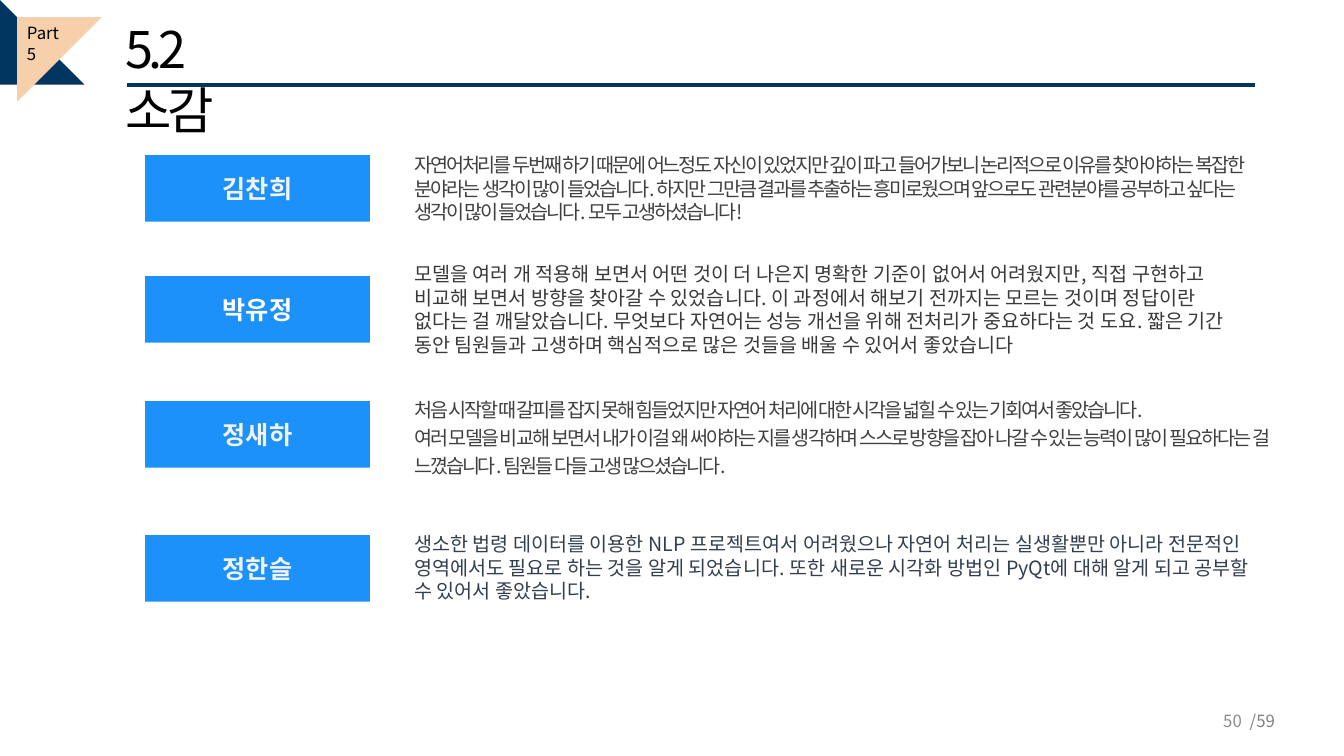
"""Build the closing slide with four team members' impressions."""
from lxml.etree import SubElement
from pptx import Presentation
from pptx.dml.color import RGBColor
from pptx.enum.shapes import MSO_CONNECTOR, MSO_SHAPE
from pptx.enum.text import MSO_ANCHOR, MSO_AUTO_SIZE, PP_ALIGN
from pptx.oxml.ns import qn
from pptx.util import Pt

FONT = "Noto Sans CJK KR"
NAVY = RGBColor(0x00, 0x35, 0x60)
PEACH = RGBColor(0xF6, 0xD0, 0xAB)
BLUE = RGBColor(0x1C, 0x91, 0xF9)
BLACK = RGBColor(0x00, 0x00, 0x00)
WHITE = RGBColor(0xFF, 0xFF, 0xFF)
OFF_WHITE = RGBColor(0xF2, 0xF2, 0xF2)
CHARCOAL = RGBColor(0x40, 0x40, 0x40)
BROWN_GRAY = RGBColor(0x3B, 0x38, 0x38)
SLATE = RGBColor(0x33, 0x3F, 0x50)
GRAY = RGBColor(0x80, 0x80, 0x80)
PALE_GRAY = RGBColor(0x8C, 0x8C, 0x8C)

IMPRESSIONS = [
    ("김찬희", OFF_WHITE, 110.9, 105.8, 624.2, CHARCOAL, -150, 1.0, PP_ALIGN.LEFT, [
        "자연어처리를 두번째 하기 때문에 어느정도 자신이 있었지만 깊이 파고 들어가보니 논리적으로 이유를 "
        "찾아야하는 복잡한 분야라는  생각이 많이 들었습니다. 하지만 그만큼 결과를 추출하는 흥미로웠으며 "
        "앞으로도 관련분야를 공부하고 싶다는 생각이 많이 들었습니다. 모두 고생하셨습니다!"]),
    ("박유정", WHITE, 197.3, 183.6, 608.4, BROWN_GRAY, 0, 1.0, PP_ALIGN.LEFT, [
        "모델을 여러 개 적용해 보면서 어떤 것이 더 나은지 명확한 기준이 없어서 어려웠지만, 직접 구현하고 "
        "비교해 보면서 방향을 찾아갈 수 있었습니다. 이 과정에서 해보기 전까지는 모르는 것이며 정답이란 "
        "없다는 걸 깨달았습니다. 무엇보다 자연어는 성능 개선을 위해 전처리가 중요하다는 것 도요. 짧은 "
        "기간 동안 팀원들과 고생하며 핵심적으로 많은 것들을 배울 수 있어서 좋았습니다"]),
    ("정새하", OFF_WHITE, 286.6, 277.2, 624.2, CHARCOAL, -150, 1.2, PP_ALIGN.JUSTIFY, [
        "처음 시작할 때 갈피를 잡지 못해 힘들었지만 자연어 처리에 대한 시각을 넓힐 수 있는 기회여서 좋았습니다.",
        "여러 모델을 비교해 보면서 내가 이걸 왜 써야하는 지를 생각하며 스스로 방향을 잡아 나갈 수 있는 "
        "능력이 많이 필요하다는 걸 느꼈습니다. 팀원들 다들 고생 많으셨습니다."]),
    ("정한슬", OFF_WHITE, 382.3, 376.6, 624.2, SLATE, 0, 1.0, PP_ALIGN.LEFT, [
        "생소한 법령 데이터를 이용한 NLP 프로젝트여서 어려웠으나 자연어 처리는 실생활뿐만 아니라 전문적인 "
        "영역에서도 필요로 하는 것을 알게 되었습니다. 또한 새로운 시각화 방법인 PyQt에 대해 알게 되고 "
        "공부할 수 있어서 좋았습니다."]),
]


def write(shape, lines, size, color, align=PP_ALIGN.LEFT, anchor=MSO_ANCHOR.TOP,
          bold=False, tracking=0, spacing=1.0):
    frame = shape.text_frame
    frame.text = "\n".join(lines)
    frame.word_wrap = True
    frame.auto_size = MSO_AUTO_SIZE.NONE
    frame.vertical_anchor = anchor
    for paragraph in frame.paragraphs:
        paragraph.alignment = align
        paragraph.line_spacing = spacing
        paragraph.font.size = Pt(size)
        paragraph.font.bold = bold
        paragraph.font.color.rgb = color
        paragraph.font.name = FONT
        defaults = paragraph._p.get_or_add_pPr().find(qn("a:defRPr"))
        defaults.set("spc", str(tracking))
        SubElement(defaults, qn("a:ea"), typeface=FONT)


def add_block(kind, left, top, width, height, color):
    block = slide.shapes.add_shape(kind, Pt(left), Pt(top), Pt(width), Pt(height))
    block.fill.solid()
    block.fill.fore_color.rgb = color
    block.line.fill.background()
    block.shadow.inherit = False
    return block


deck = Presentation()
deck.slide_width, deck.slide_height = Pt(960), Pt(540)
slide = deck.slides.add_slide(deck.slide_layouts[5])

title = slide.shapes.title
title.left, title.top, title.width, title.height = Pt(82.1), Pt(9.4), Pt(108), Pt(51.1)
write(title, ["5.2 소감"], 36, BLACK, tracking=-300)

add_block(MSO_SHAPE.RIGHT_TRIANGLE, 0, 0, 60.5, 60.5, NAVY)
ribbon = add_block(MSO_SHAPE.RIGHT_TRIANGLE, 12.2, 12.2, 60.5, 60.5, PEACH)
ribbon.rotation = 90
part_label = slide.shapes.add_textbox(Pt(12.2), Pt(13), Pt(43.9), Pt(21.6))
write(part_label, ["Part 5"], 12, BLACK)

for (name, name_color, name_top, text_top, text_width, text_color,
     tracking, spacing, align, lines) in IMPRESSIONS:
    name_box = add_block(MSO_SHAPE.RECTANGLE, 103.7, name_top, 160.6, 47.5, BLUE)
    write(name_box, [name], 18, name_color, PP_ALIGN.CENTER, MSO_ANCHOR.MIDDLE, bold=True)
    impression = slide.shapes.add_textbox(Pt(288.7), Pt(text_top), Pt(text_width), Pt(60))
    write(impression, lines, 14, text_color, align, tracking=tracking, spacing=spacing)

title_rule = slide.shapes.add_connector(
    MSO_CONNECTOR.STRAIGHT, Pt(90.7), Pt(60.5), Pt(896.4), Pt(60.5))
title_rule.line.color.rgb = NAVY
title_rule.line.width = Pt(3)
SubElement(title_rule._element.spPr, qn("a:effectLst"))

page_number = slide.shapes.add_textbox(Pt(678.2), Pt(500.4), Pt(216), Pt(28.8))
write(page_number, ["50"], 12, PALE_GRAY, PP_ALIGN.RIGHT, MSO_ANCHOR.MIDDLE)
page_total = slide.shapes.add_textbox(Pt(885.6), Pt(504), Pt(36), Pt(21.6))
write(page_total, ["/59"], 12, GRAY)

deck.save("out.pptx")
